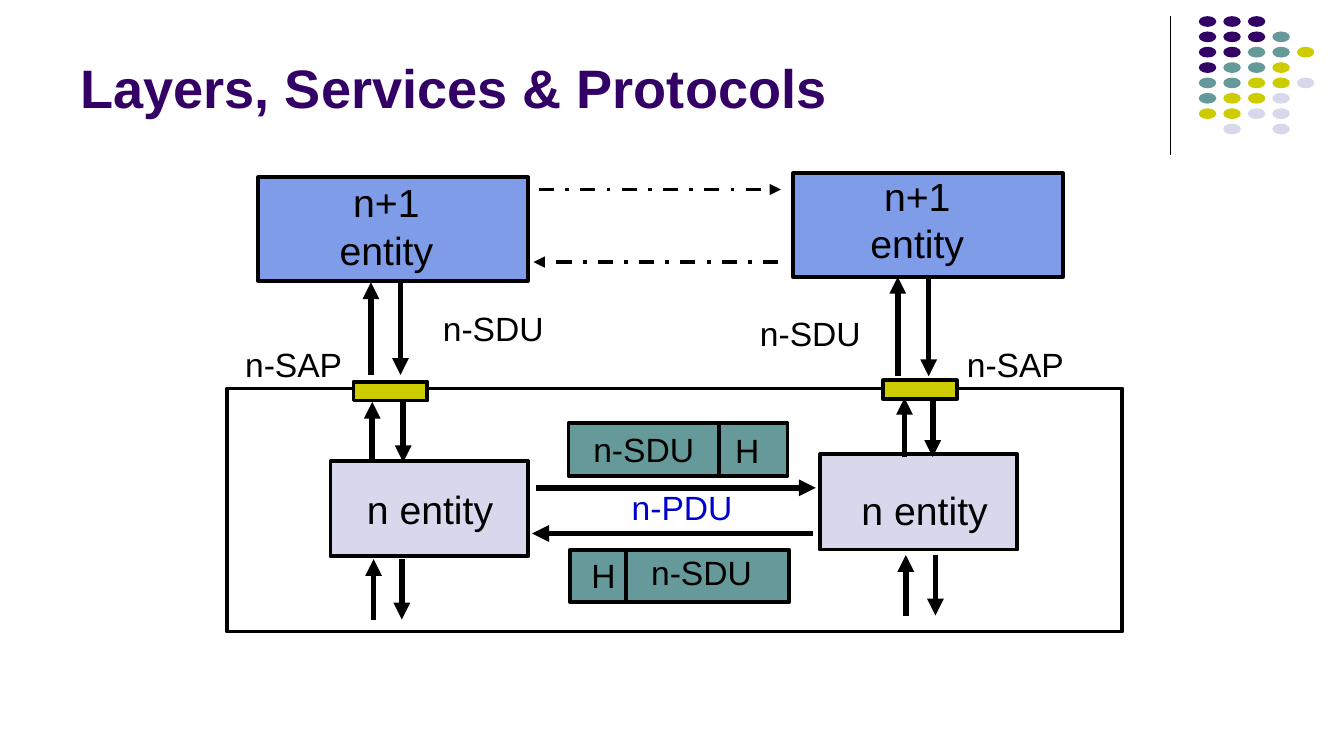
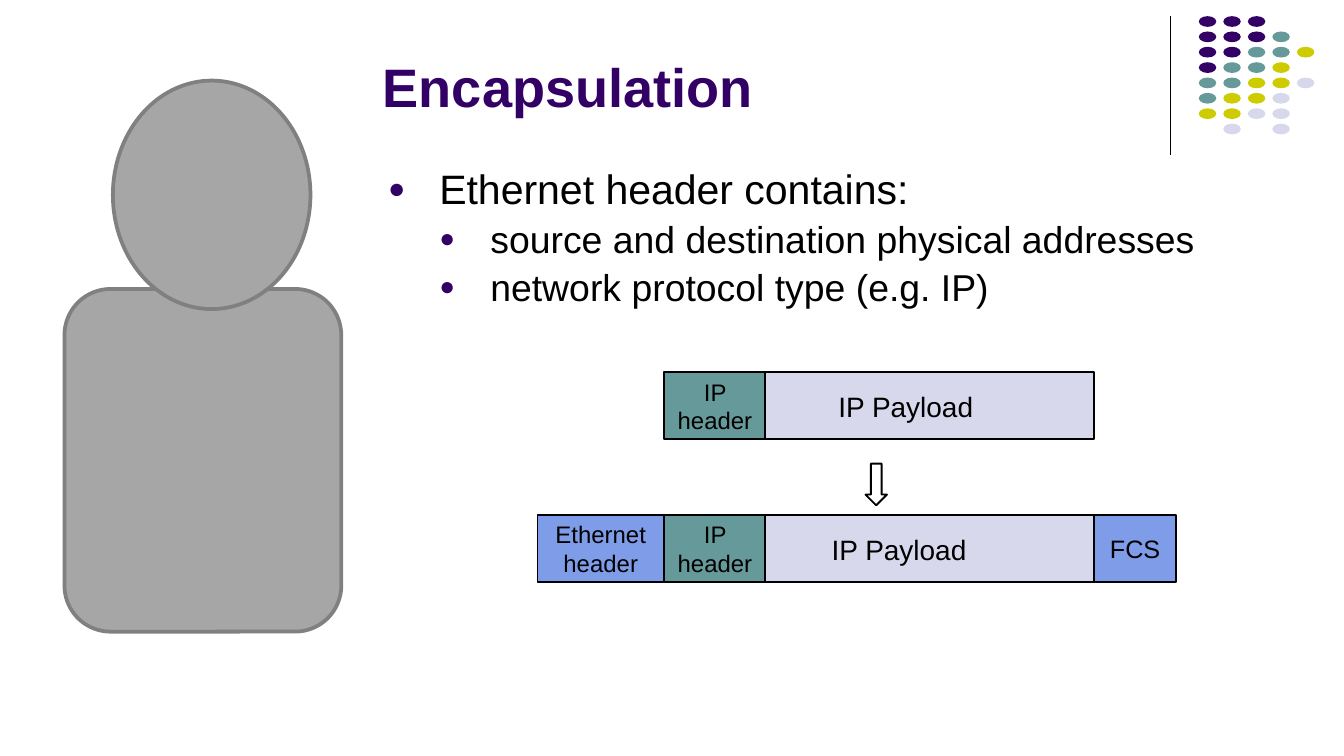
"""Builds two slides on network layers and Ethernet encapsulation."""
from lxml.etree import SubElement
from pptx import Presentation
from pptx.dml.color import RGBColor
from pptx.enum.dml import MSO_LINE
from pptx.enum.shapes import MSO_CONNECTOR, MSO_SHAPE
from pptx.enum.text import MSO_ANCHOR, PP_ALIGN
from pptx.oxml.ns import qn
from pptx.util import Inches, Pt

FONT = "Arial"
SLIDE_WIDTH = Inches(10)
SLIDE_HEIGHT = SLIDE_WIDTH * 9 // 16
BLACK = RGBColor(0x00, 0x00, 0x00)
WHITE = RGBColor(0xFF, 0xFF, 0xFF)
PURPLE = RGBColor(0x33, 0x00, 0x66)
TEAL = RGBColor(0x66, 0x99, 0x99)
OLIVE = RGBColor(0xCC, 0xCC, 0x00)
LILAC = RGBColor(0xD8, 0xD8, 0xEC)
BLUE = RGBColor(0x7E, 0x9C, 0xE8)
LINK_BLUE = RGBColor(0x00, 0x00, 0xCC)
GRAY = RGBColor(0xA6, 0xA6, 0xA6)
DARK_GRAY = RGBColor(0x80, 0x80, 0x80)

DOT_ROWS = ["PPP", "PPPT", "PPTTY", "PTTY", "TTYYL", "TYYL", "YYLL", " L L"]
DOT_COLORS = {"P": PURPLE, "T": TEAL, "Y": OLIVE, "L": LILAC}

FRAME = (1.69, 2.89, 6.66, 1.81)
UPPER_SIZE, LOWER_SIZE, SAP_SIZE = (2.01, 0.77), (1.47, 0.71), (0.55, 0.14)
PDU_SIZE = (1.63, 0.39)
STACKS = [
    {
        "upper": (1.92, 1.32), "sap": (2.63, 2.84), "lower": (2.46, 3.43),
        "exchanges": [(2.76, 2.98, 2.1, 2.79), (2.77, 3, 2.99, 3.44), (2.78, 2.99, 4.16, 4.61)],
    },
    {
        "upper": (5.9, 1.29), "sap": (6.57, 2.83), "lower": (6.1, 3.38),
        "exchanges": [(6.68, 6.91, 2.06, 2.8), (6.73, 6.94, 2.96, 3.4), (6.74, 6.96, 4.13, 4.58)],
    },
]
PDUS = [(4.23, 3.15, 5.35), (4.24, 4.09, 4.66)]
PEER_ARROWS = [
    (3.99, 6.07, 3.63, 3, None), (6.05, 3.96, 3.97, 3, None),
    (4.01, 5.81, 1.41, 2, MSO_LINE.DASH_DOT), (5.79, 3.97, 1.95, 2, MSO_LINE.DASH_DOT),
]
LABELS = [
    ("n+1\nentity", 2.45, 1.29, 0.85, 0.78, 21, BLACK),
    ("n+1\nentity", 6.4, 1.24, 0.85, 0.78, 21, BLACK),
    ("n entity", 2.65, 3.57, 1.1, 0.43, 21, BLACK),
    ("n entity", 6.33, 3.58, 1.1, 0.43, 21, BLACK),
    ("n-SAP", 1.72, 2.51, 0.93, 0.4, 18, BLACK),
    ("n-SAP", 7.09, 2.51, 0.93, 0.4, 18, BLACK),
    ("n-SDU", 3.19, 2.24, 0.96, 0.4, 18, BLACK),
    ("n-SDU", 5.55, 2.28, 0.96, 0.4, 18, BLACK),
    ("n-SDU", 4.31, 3.14, 0.96, 0.4, 18, BLACK),
    ("H", 5.37, 3.15, 0.38, 0.4, 18, BLACK),
    ("H", 4.3, 4.08, 0.38, 0.4, 18, BLACK),
    ("n-SDU", 4.74, 4.06, 0.96, 0.4, 18, BLACK),
    ("n-PDU", 4.5, 3.57, 1.15, 0.4, 18, LINK_BLUE),
]

BULLETS = [
    (0, "Ethernet header contains:"),
    (1, "source and destination physical addresses"),
    (1, "network protocol type (e.g. IP)"),
]
BULLET_SIZES = (22, 20)
BULLET_INDENT = 0.38
FIELD_HEIGHT = 0.5
FIELDS = {
    "Ethernet header": (4, 4.94, BLUE, 12.8),
    "IP header": (4.94, 5.7, TEAL, 12.8),
    "IP Payload": (5.69, 8.14, LILAC, 15),
    "FCS": (8.14, 8.75, BLUE, 13.5),
}
PACKETS = [
    (2.77, 5.64, ["IP header", "IP Payload"]),
    (3.83, 5.59, ["Ethernet header", "IP header", "IP Payload", "FCS"]),
]


def style_text(shape, text, size, color=BLACK, align=PP_ALIGN.CENTER, bold=False,
               anchor=MSO_ANCHOR.MIDDLE, wrap=True, margin=0.07):
    frame = shape.text_frame
    frame.text = text
    frame.word_wrap = wrap
    frame.vertical_anchor = anchor
    frame.margin_left = frame.margin_right = Inches(margin)
    frame.margin_top = frame.margin_bottom = Inches(0.05)
    for para in frame.paragraphs:
        para.alignment = align
        para.font.name = FONT
        para.font.size = Pt(size)
        para.font.bold = bold
        para.font.color.rgb = color


def add_label(page, text, left, top, width, height, size, color=BLACK, **options):
    box = page.shapes.add_textbox(*map(Inches, (left, top, width, height)))
    style_text(box, text, size, color, **options)


def add_box(page, left, top, width, height, fill=None, line=BLACK, weight=2,
            kind=MSO_SHAPE.RECTANGLE):
    box = page.shapes.add_shape(kind, *map(Inches, (left, top, width, height)))
    box.shadow.inherit = False
    if fill is None:
        box.fill.background()
    else:
        box.fill.solid()
        box.fill.fore_color.rgb = fill
    if line is None:
        box.line.fill.background()
    else:
        box.line.color.rgb = line
        box.line.width = Pt(weight)
    return box


def add_line(page, x1, y1, x2, y2, weight, dash=None, arrow=True):
    connector = page.shapes.add_connector(MSO_CONNECTOR.STRAIGHT, *map(Inches, (x1, y1, x2, y2)))
    connector.line.color.rgb = BLACK
    connector.line.width = Pt(weight)
    if dash is not None:
        connector.line.dash_style = dash
    properties = connector.element.spPr
    if arrow:
        SubElement(properties.find(qn("a:ln")), qn("a:tailEnd"), type="triangle")
    SubElement(properties, qn("a:effectLst"))


def add_page(deck, title, left, top, width):
    page = deck.slides.add_slide(deck.slide_layouts[6])
    add_line(page, 8.71, 0.12, 8.71, 1.15, 0.75, arrow=False)
    for row, dots in enumerate(DOT_ROWS):
        for column, dot in enumerate(dots):
            if dot in DOT_COLORS:
                add_box(page, 8.92 + column * 0.73 / 4, 0.12 + row * 0.8 / 7, 0.13, 0.08,
                        DOT_COLORS[dot], None, kind=MSO_SHAPE.OVAL)
    add_label(page, title, left, top, width, 0.84, 29, PURPLE, align=PP_ALIGN.LEFT,
              bold=True, anchor=MSO_ANCHOR.BOTTOM, margin=0.1)
    return page


def build_layers(deck):
    page = add_page(deck, "Layers, Services & Protocols", 0.5, 0.1, 8.25)
    add_box(page, *FRAME)
    for stack in STACKS:
        add_box(page, *stack["upper"], *UPPER_SIZE, BLUE)
        add_box(page, *stack["lower"], *LOWER_SIZE, LILAC)
        add_box(page, *stack["sap"], *SAP_SIZE, OLIVE)
        for up, down, top, bottom in stack["exchanges"]:
            add_line(page, up, bottom, up, top, 3)
            add_line(page, down, top, down, bottom, 3)
    for left, top, divider in PDUS:
        add_box(page, left, top, *PDU_SIZE, TEAL)
        add_line(page, divider, top, divider, top + PDU_SIZE[1], 2, arrow=False)
    for start, end, height, weight, dash in PEER_ARROWS:
        add_line(page, start, height, end, height, weight, dash)
    for label in LABELS:
        add_label(page, *label, wrap=False)


def add_bullets(page):
    box = page.shapes.add_textbox(*map(Inches, (2.79, 1.21, 6.51, 1.29)))
    frame = box.text_frame
    frame.word_wrap = True
    for index, (level, text) in enumerate(BULLETS):
        para = frame.add_paragraph() if index else frame.paragraphs[0]
        para.text = text
        para.level = level
        para.line_spacing = 0.9
        size = BULLET_SIZES[level]
        if index:
            para.space_before = Pt(size * 0.2)
        properties = para._p.get_or_add_pPr()
        properties.set("marL", str(Inches(BULLET_INDENT * (level + 1))))
        properties.set("indent", str(-Inches(BULLET_INDENT)))
        SubElement(SubElement(properties, qn("a:buClr")), qn("a:srgbClr"), val=str(PURPLE))
        SubElement(properties, qn("a:buSzPct"), val="70000")
        SubElement(properties, qn("a:buFont"), typeface=FONT)
        SubElement(properties, qn("a:buChar"), char="●")
        para.font.name = FONT
        para.font.size = Pt(size)
        para.font.color.rgb = BLACK


def build_encapsulation(deck):
    page = add_page(deck, "Encapsulation", 2.75, 0.09, 5.3)
    add_bullets(page)
    for top, payload_left, names in PACKETS:
        for name in names:
            left, right, fill, size = FIELDS[name]
            field = add_box(page, left, top, right - left, FIELD_HEIGHT, fill, weight=1)
            if name == "IP Payload":
                add_label(page, name, payload_left, top + 0.08, 2.2, 0.35, size)
            else:
                style_text(field, name, size)
    add_box(page, 6.44, 3.45, 0.16, 0.31, WHITE, weight=1, kind=MSO_SHAPE.DOWN_ARROW)
    add_box(page, 0.48, 2.15, 2.06, 2.55, GRAY, DARK_GRAY, kind=MSO_SHAPE.ROUNDED_RECTANGLE)
    add_box(page, 0.84, 0.6, 1.47, 1.7, GRAY, DARK_GRAY, kind=MSO_SHAPE.OVAL)


def main():
    deck = Presentation()
    deck.slide_width, deck.slide_height = SLIDE_WIDTH, SLIDE_HEIGHT
    build_layers(deck)
    build_encapsulation(deck)
    deck.save("out.pptx")


if __name__ == "__main__":
    main()
